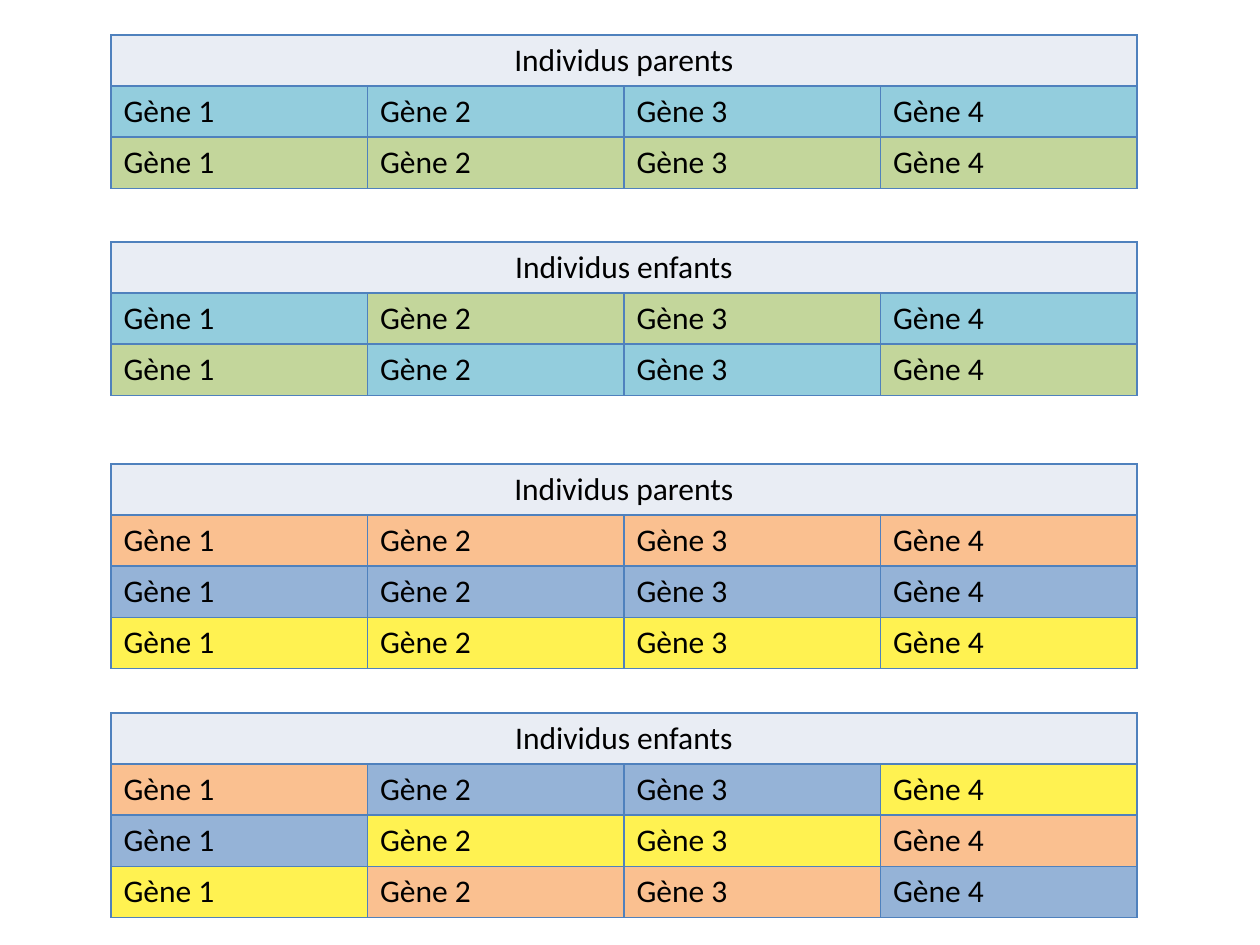
"""Build a slide of gene tables for parents and children."""
import pptx
import pptx.util
import pptx.dml.color
import pptx.enum.text
import lxml.etree
import pptx.oxml.ns

SCALE = 914400 // 126


def px(num):
    """Turn pixels into EMU."""
    return pptx.util.Emu(round(num * SCALE))


def tint(code):
    """Turn a hex string into a colour."""
    return pptx.dml.color.RGBColor.from_string(code)


class Deck:
    """Hold the style and the current slide."""
    font, size, ink = "Calibri", 18, "000000"
    edge, head = "4F81BD", "E9EDF4"
    left, width, row = 111, 1026, 51

    def __init__(self):
        """Start a deck with one blank slide."""
        self.file = pptx.Presentation()
        self.file.slide_width = px(1260)
        self.file.slide_height = px(945)
        self.slide = self.file.slides.add_slide(self.file.slide_layouts[6])

    def border(self, cell):
        """Draw a thin line on each side of a cell."""
        props = cell._tc.get_or_add_tcPr()
        name = pptx.oxml.ns.qn
        for side in ("lnL", "lnR", "lnT", "lnB"):
            line = lxml.etree.SubElement(props, name("a:" + side), w="12700")
            fill = lxml.etree.SubElement(line, name("a:solidFill"))
            lxml.etree.SubElement(fill, name("a:srgbClr"), val=self.edge)

    def cell(self, cell, text, fill):
        """Fill and write one cell."""
        self.border(cell)
        cell.fill.solid()
        cell.fill.fore_color.rgb = tint(fill)
        cell.text_frame.text = text
        font = cell.text_frame.paragraphs[0].font
        for run in cell.text_frame.paragraphs[0].runs:
            font = run.font
            font.name, font.bold = self.font, False
            font.size = pptx.util.Pt(self.size)
            font.color.rgb = tint(self.ink)

    def table(self, top, title, rows):
        """Add a titled table with one colour per gene."""
        count = len(rows[0])
        high = self.row * (len(rows) + 1)
        grid = self.slide.shapes.add_table(
            len(rows) + 1, count, px(self.left), px(top),
            px(self.width), px(high)).table
        for row in grid.rows:
            row.height = px(self.row)
        for col in range(count):
            self.cell(grid.cell(0, col), "" if col else title, self.head)
        first = grid.cell(0, 0)
        first.merge(grid.cell(0, count - 1))
        first.text_frame.paragraphs[0].alignment = pptx.enum.text.PP_ALIGN.CENTER
        for r, fills in enumerate(rows, 1):
            for c, fill in enumerate(fills):
                self.cell(grid.cell(r, c), f"Gène {c + 1}", fill)


AQUA, GREEN = "93CDDD", "C3D69B"
PEACH, BLUE, GOLD = "FAC090", "95B3D7", "FFF251"

deck = Deck()
for top, title, rows in (
    (35, "Individus parents", [[AQUA] * 4, [GREEN] * 4]),
    (242, "Individus enfants", [[AQUA, GREEN, GREEN, AQUA],
                                [GREEN, AQUA, AQUA, GREEN]]),
    (464, "Individus parents", [[PEACH] * 4, [BLUE] * 4, [GOLD] * 4]),
    (713, "Individus enfants", [[PEACH, BLUE, BLUE, GOLD],
                                [BLUE, GOLD, GOLD, PEACH],
                                [GOLD, PEACH, PEACH, BLUE]]),
):
    deck.table(top, title, rows)
deck.file.save("out.pptx")
